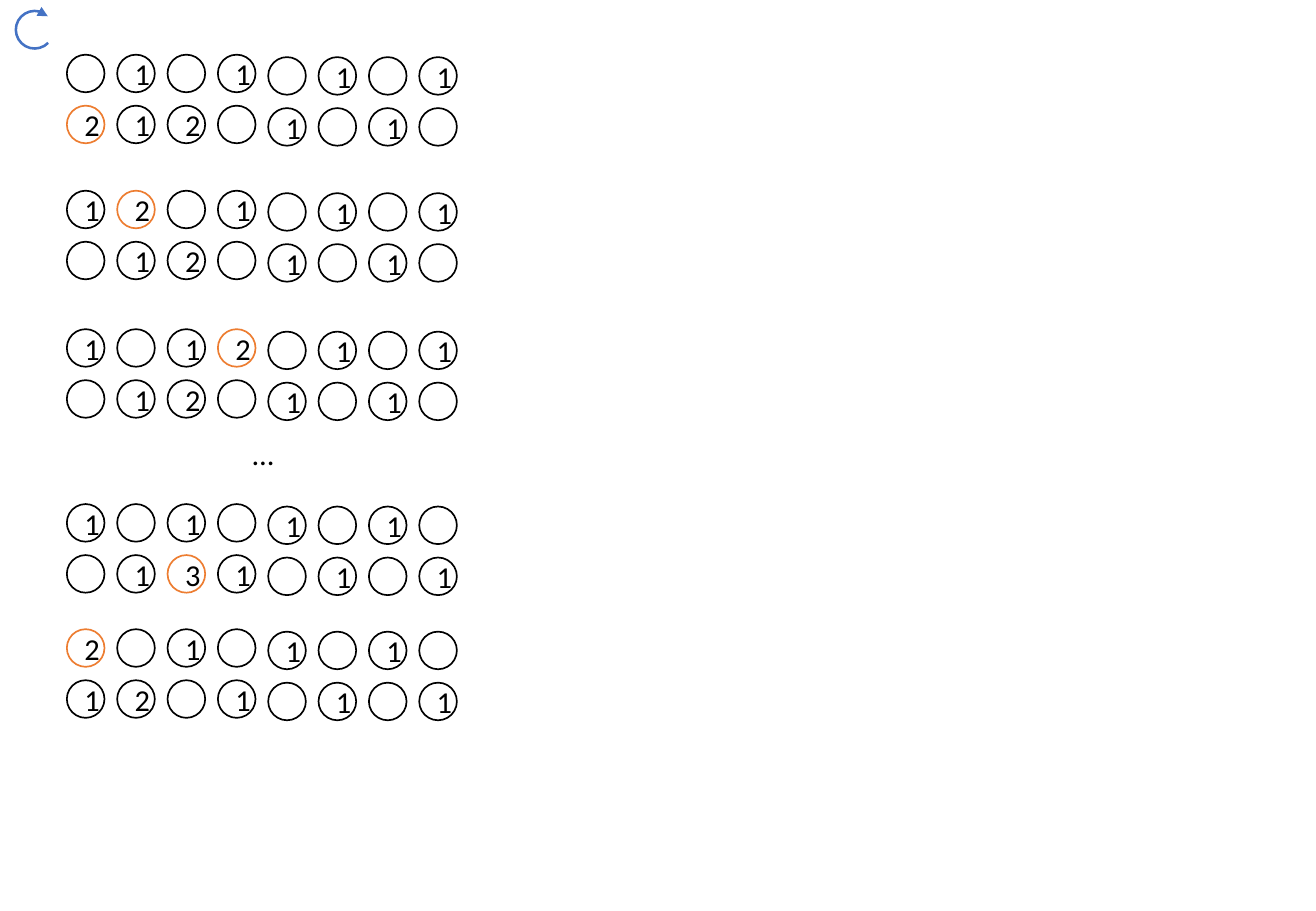
"""Build a slide of two-row rings of counters, shown step by step."""
from dataclasses import dataclass

from lxml import etree
from pptx import Presentation
from pptx import util as u
from pptx.dml import color
from pptx.enum import shapes, text
from pptx.oxml import ns
from pptx.slide import Slide
from pptx.text.text import TextFrame


@dataclass(frozen=True)
class Theme:
    paper: color.RGBColor = color.RGBColor(0xFF, 0xFF, 0xFF)
    ink: color.RGBColor = color.RGBColor(0, 0, 0)
    active: color.RGBColor = color.RGBColor(0xED, 0x7D, 0x31)
    turn: color.RGBColor = color.RGBColor(0x44, 0x72, 0xC4)
    font: str = "Calibri"
    size: float = 18
    outline: float = 1
    turn_width: float = 1.5


@dataclass(frozen=True)
class Step:
    top: float
    rows: tuple[str, str]
    active: tuple[int, int]


THEME = Theme()
COLUMNS = 8
LEFT = 0.55
COLUMN_PITCH = 2.9 / (COLUMNS - 1)
ROW_PITCH = 0.42
RIGHT_HALF_DROP = 0.02
DIAMETER = u.Inches(0.31)

STEPS = (
    Step(0.45, (" 1 1 1 1", "212 1 1 "), (0, 1)),
    Step(1.57, ("12 1 1 1", " 12 1 1 "), (1, 0)),
    Step(2.71, ("1 12 1 1", " 12 1 1 "), (3, 0)),
    Step(4.15, ("1 1 1 1 ", " 131 1 1"), (2, 1)),
    Step(5.18, ("2 1 1 1 ", "12 1 1 1"), (0, 0)),
)


def write(frame: TextFrame, words: str, align: text.PP_ALIGN) -> None:
    frame.text = words
    paragraph = frame.paragraphs[0]
    paragraph.alignment = align
    for run in paragraph.runs:
        run.font.name = THEME.font
        run.font.size = u.Pt(THEME.size)
        run.font.color.rgb = THEME.ink


def draw_counter(slide: Slide, left: float, top: float, count: str, active: bool) -> None:
    counter = slide.shapes.add_shape(
        shapes.MSO_SHAPE.OVAL, u.Inches(left), u.Inches(top), DIAMETER, DIAMETER)
    counter.shadow.inherit = False
    counter.fill.solid()
    counter.fill.fore_color.rgb = THEME.paper
    counter.line.color.rgb = THEME.active if active else THEME.ink
    counter.line.width = u.Pt(THEME.outline)
    if count.strip():
        counter.text_frame.vertical_anchor = text.MSO_ANCHOR.MIDDLE
        write(counter.text_frame, count, text.PP_ALIGN.CENTER)


def draw_step(slide: Slide, step: Step) -> None:
    for row, counts in enumerate(step.rows):
        for column, count in enumerate(counts):
            drop = RIGHT_HALF_DROP if column >= COLUMNS // 2 else 0
            draw_counter(slide, LEFT + column * COLUMN_PITCH,
                         step.top + row * ROW_PITCH + drop,
                         count, (column, row) == step.active)


def draw_ellipsis(slide: Slide) -> None:
    ellipsis = slide.shapes.add_textbox(
        u.Inches(1.98), u.Inches(3.53), u.Inches(0.74), u.Inches(0.4))
    ellipsis.text_frame.word_wrap = True
    ellipsis.text_frame.auto_size = text.MSO_AUTO_SIZE.SHAPE_TO_FIT_TEXT
    write(ellipsis.text_frame, "…", text.PP_ALIGN.LEFT)


def draw_turn(slide: Slide) -> None:
    turn = slide.shapes.add_shape(
        shapes.MSO_SHAPE.ARC, u.Inches(0.13), u.Inches(0.09), DIAMETER, DIAMETER)
    turn.adjustments[0] = 162
    turn.adjustments[1] = 108
    turn.rotation = 134.3
    turn.shadow.inherit = False
    turn.fill.background()
    turn.line.color.rgb = THEME.turn
    turn.line.width = u.Pt(THEME.turn_width)
    outline = turn.element.spPr.find(ns.qn("a:ln"))
    etree.SubElement(outline, ns.qn("a:tailEnd"), type="triangle")


def main() -> None:
    deck = Presentation()
    deck.slide_width = u.Inches(10.83)
    deck.slide_height = u.Inches(7.5)
    slide = deck.slides.add_slide(deck.slide_layouts[6])
    for step in STEPS:
        draw_step(slide, step)
    draw_ellipsis(slide)
    draw_turn(slide)
    deck.save("out.pptx")


if __name__ == "__main__":
    main()
